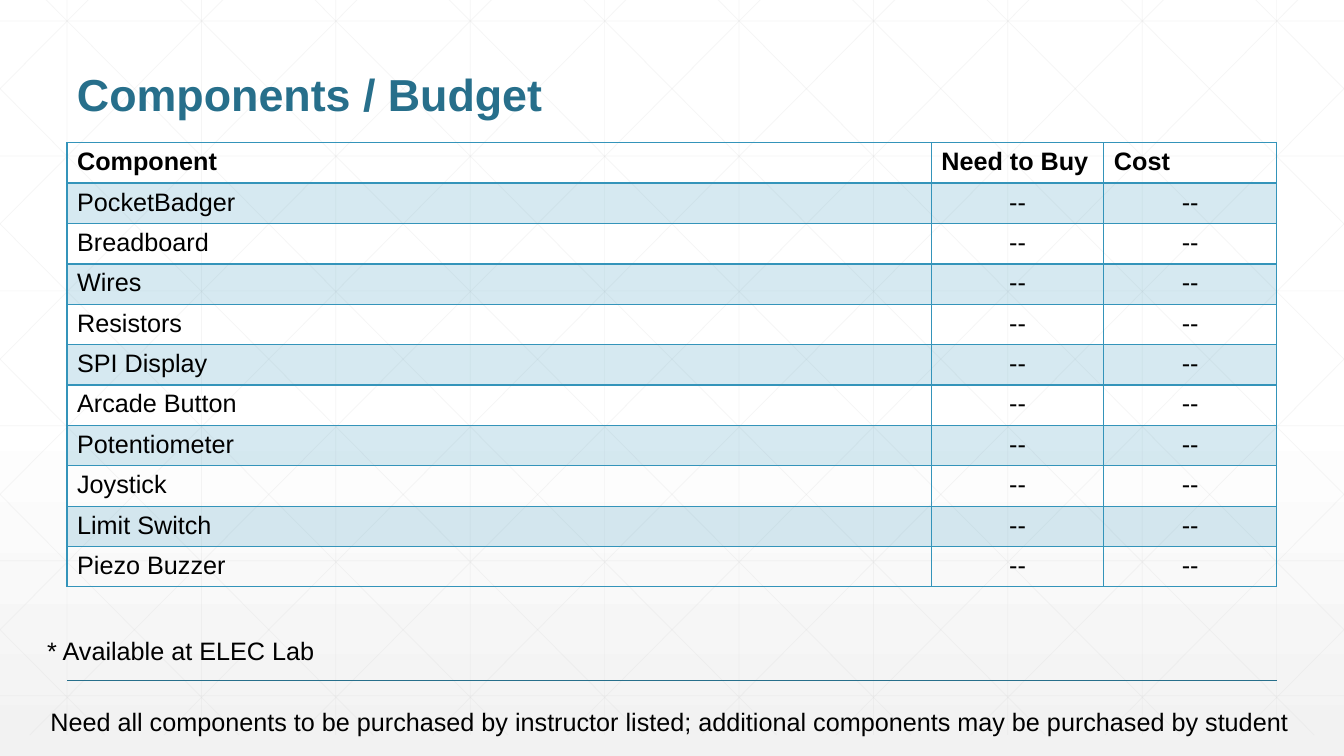
"""Build the Components / Budget slide with its table over a faint geometric grid."""
from dataclasses import dataclass

from lxml import etree
from pptx import Presentation
from pptx.dml.color import RGBColor
from pptx.enum.shapes import MSO_CONNECTOR
from pptx.enum.text import MSO_ANCHOR, MSO_AUTO_SIZE, PP_ALIGN
from pptx.oxml.ns import qn
from pptx.util import Cm, Pt

STRAIGHT = MSO_CONNECTOR.STRAIGHT
TOP, BOTTOM = MSO_ANCHOR.TOP, MSO_ANCHOR.BOTTOM
LEFT, CENTER = PP_ALIGN.LEFT, PP_ALIGN.CENTER
FIT_SHAPE = MSO_AUTO_SIZE.SHAPE_TO_FIT_TEXT


@dataclass(frozen=True)
class Theme:
    font: str = "Arial"
    title_size: int = 32
    body_size: int = 18
    title: str = "276F8B"
    text: str = "000000"
    accent: str = "3494BA"
    grid: str = "D9D9D9"
    page_top: str = "FFFFFF"
    page_bottom: str = "F2F2F2"
    grid_opacity: int = 25
    band_opacity: int = 20


theme = Theme()


def write_text(frame, text, size=theme.body_size, color=theme.text, bold=False,
               align=LEFT, anchor=TOP, spacing=1.0):
    frame.vertical_anchor = anchor
    paragraph = frame.paragraphs[0]
    paragraph.alignment = align
    paragraph.line_spacing = spacing
    run = paragraph.add_run()
    run.text = text
    run.font.name = theme.font
    run.font.size = Pt(size)
    run.font.bold = bold
    run.font.color.rgb = RGBColor.from_string(color)


def draw_line(start, end, color, width, opacity=100):
    points = [Cm(value) for value in (*start, *end)]
    connector = slide.shapes.add_connector(STRAIGHT, *points)
    connector.line.width = Pt(width)
    connector.line.color.rgb = RGBColor.from_string(color)
    properties = connector._element.spPr
    etree.SubElement(properties, qn("a:effectLst"))
    if opacity < 100:
        color_node = properties.find(".//" + qn("a:srgbClr"))
        etree.SubElement(color_node, qn("a:alpha"), val=str(opacity * 1000))


WIDTH, HEIGHT = 33.87, 19.05
MARGIN = 1.69
CONTENT_WIDTH = 30.48

presentation = Presentation()
presentation.slide_width = Cm(WIDTH)
presentation.slide_height = Cm(HEIGHT)
slide = presentation.slides.add_slide(presentation.slide_layouts[6])

background = slide.background.fill
background.gradient()
background.gradient_angle = 270
page_stops = ((0.53, theme.page_top), (1.0, theme.page_bottom))
for stop, (position, color) in zip(background.gradient_stops, page_stops):
    stop.position = position
    stop.color.rgb = RGBColor.from_string(color)

GRID_TOP, GRID_BOTTOM = -0.53, 18.52
COLUMN_PITCH, ROW_PITCH = WIDTH / 10, 3.4
DIAGONAL_START, DIAGONAL_RUN = 0.64, 18.93
slope = (GRID_BOTTOM - GRID_TOP) / DIAGONAL_RUN

grid_lines = []
for column in range(10):
    x = MARGIN + column * COLUMN_PITCH
    grid_lines.append(((x, GRID_TOP), (x, GRID_BOTTOM)))
for row in range(6):
    y = 0.53 + row * ROW_PITCH
    grid_lines.append(((0, y), (WIDTH, y)))
for step in range(-5, 10):
    origin = DIAGONAL_START + step * COLUMN_PITCH
    x1, x2 = max(origin, 0), min(origin + DIAGONAL_RUN, WIDTH)
    y1, y2 = [GRID_TOP + (x - origin) * slope for x in (x1, x2)]
    grid_lines.append(((x1, y1), (x2, y2)))
    grid_lines.append(((WIDTH - x1, y1), (WIDTH - x2, y2)))
for start, end in grid_lines:
    draw_line(start, end, theme.grid, 0.5, theme.grid_opacity)

FOOTER_Y = 17.15
draw_line((MARGIN, FOOTER_Y), (MARGIN + CONTENT_WIDTH, FOOTER_Y), theme.title, 1)

title_box = slide.shapes.add_textbox(Cm(MARGIN), Cm(0.64), Cm(CONTENT_WIDTH), Cm(2.54))
title_box.text_frame.word_wrap = True
write_text(title_box.text_frame, "Components / Budget", size=theme.title_size,
           color=theme.title, bold=True, anchor=BOTTOM, spacing=0.9)

headings = ("Component", "Need to Buy", "Cost")
components = ("PocketBadger", "Breadboard", "Wires", "Resistors", "SPI Display",
              "Arcade Button", "Potentiometer", "Joystick", "Limit Switch", "Piezo Buzzer")
table_rows = [headings] + [(component, "--", "--") for component in components]
COLUMN_WIDTHS = (21.78, 4.35, 4.35)
ROW_HEIGHT = 0.97

table = slide.shapes.add_table(
    len(table_rows), len(headings), Cm(MARGIN), Cm(3.6),
    Cm(CONTENT_WIDTH), Cm(ROW_HEIGHT * len(table_rows))).table
table.first_row = False
table.horz_banding = False
for column, width in zip(table.columns, COLUMN_WIDTHS):
    column.width = Cm(width)

for row_index, values in enumerate(table_rows):
    table.rows[row_index].height = Cm(ROW_HEIGHT)
    is_heading = row_index == 0
    for column_index, value in enumerate(values):
        cell = table.cell(row_index, column_index)
        centered = column_index > 0 and not is_heading
        write_text(cell.text_frame, value, bold=is_heading,
                   align=CENTER if centered else LEFT)
        properties = cell._tc.get_or_add_tcPr()
        for side in ("L", "R", "T", "B"):
            below_heading = (row_index, side) in ((0, "B"), (1, "T"))
            border = etree.SubElement(properties, qn("a:ln" + side),
                                      w=str(Pt(2 if below_heading else 1)))
            border_fill = etree.SubElement(border, qn("a:solidFill"))
            etree.SubElement(border_fill, qn("a:srgbClr"), val=theme.accent)
        if row_index % 2:
            cell.fill.solid()
            cell.fill.fore_color.rgb = RGBColor.from_string(theme.accent)
            band_color = properties.find(qn("a:solidFill") + "/" + qn("a:srgbClr"))
            etree.SubElement(band_color, qn("a:alpha"), val=str(theme.band_opacity * 1000))
        else:
            cell.fill.background()

notes = (
    ("Need all components to be purchased by instructor listed; "
     "additional components may be purchased by student", 1.02, 17.68, 32.0),
    ("* Available at ELEC Lab", 0.94, 15.88, 7.32),
)
for text, left, top, width in notes:
    note_box = slide.shapes.add_textbox(Cm(left), Cm(top), Cm(width), Cm(1.03))
    note_box.text_frame.word_wrap = False
    note_box.text_frame.auto_size = FIT_SHAPE
    write_text(note_box.text_frame, text)

presentation.save("out.pptx")
